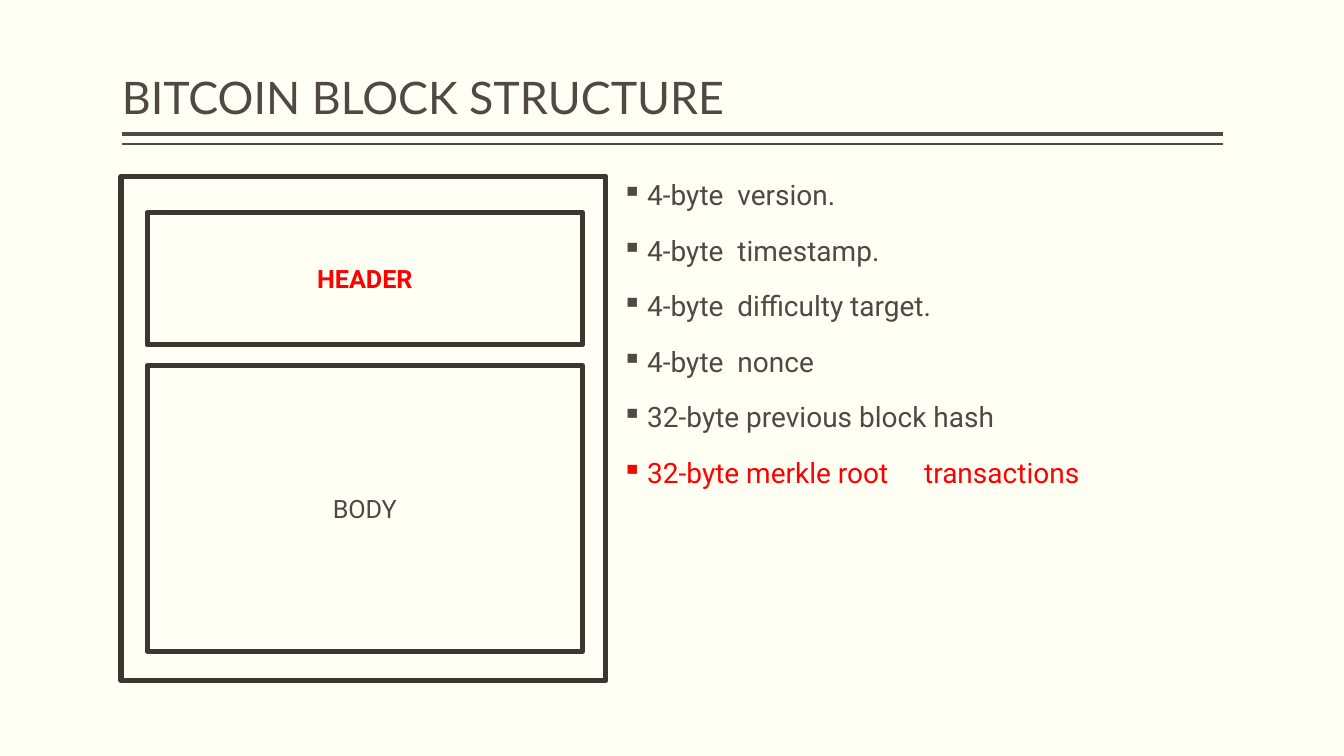
from lxml.etree import SubElement
from pptx import Presentation
from pptx.dml.color import RGBColor
from pptx.enum.shapes import MSO_CONNECTOR, MSO_SHAPE
from pptx.enum.text import MSO_ANCHOR as Anchor, PP_ALIGN as Align
from pptx.oxml.ns import qn
from pptx.util import Cm, Pt

CREAM = RGBColor(0xFF, 0xFF, 0xF3)
BROWN = RGBColor(0x51, 0x48, 0x43)
DARK_BROWN = RGBColor(0x3C, 0x35, 0x32)
RED = RGBColor(0xFF, 0x00, 0x00)

LEFT, WIDTH = 3.07, 27.74
HEADER_FIELDS = [
    ("4-byte  version.", BROWN),
    ("4-byte  timestamp.", BROWN),
    ("4-byte  difficulty target.", BROWN),
    ("4-byte  nonce", BROWN),
    ("32-byte previous block hash", BROWN),
    ("32-byte merkle root\ttransactions", RED),
]


def style_font(para, name, size, color, bold=False):
    """Set the font of a whole paragraph."""
    font = para.font
    font.name, font.size, font.bold = name, Pt(size), bold
    font.color.rgb = color


def set_frame(frame, anchor):
    """Wrap the text and remove the side margins."""
    frame.word_wrap = True
    frame.vertical_anchor = anchor
    frame.margin_left = frame.margin_right = 0
    frame.margin_top = frame.margin_bottom = Cm(0.13)


def set_title(page, text):
    """Place and format the title placeholder."""
    title = page.shapes.title
    title.left, title.top = Cm(LEFT), Cm(0.2)
    title.width, title.height = Cm(WIDTH), Cm(3.05)
    set_frame(title.text_frame, Anchor.BOTTOM)
    para = title.text_frame.paragraphs[0]
    para.text = text
    para.alignment = Align.LEFT
    para.line_spacing = 0.9
    style_font(para, "Lato", 32, BROWN)


def add_rule(page, top, weight):
    """Draw a horizontal line under the title."""
    rule = page.shapes.add_connector(
        MSO_CONNECTOR.STRAIGHT, Cm(LEFT), Cm(top), Cm(LEFT + WIDTH), Cm(top))
    rule.line.color.rgb = BROWN
    rule.line.width = Pt(weight)
    SubElement(rule.element.spPr, qn("a:effectLst"))


def add_frame(page, left, top, width, height, label="", color=BROWN, bold=False):
    """Draw an outlined rectangle with an optional centred label."""
    box = page.shapes.add_shape(
        MSO_SHAPE.RECTANGLE, Cm(left), Cm(top), Cm(width), Cm(height))
    box.shadow.inherit = False
    box.fill.background()
    box.line.color.rgb = DARK_BROWN
    box.line.width = Pt(3.78)
    if label:
        box.text_frame.vertical_anchor = Anchor.MIDDLE
        para = box.text_frame.paragraphs[0]
        para.text = label
        para.alignment = Align.CENTER
        style_font(para, "Roboto", 18, color, bold)


def add_bullet(para):
    """Give a paragraph a square bullet with a hanging indent."""
    properties = para._p.get_or_add_pPr()
    properties.set("marL", str(Cm(0.64)))
    properties.set("indent", str(-Cm(0.64)))
    SubElement(properties, qn("a:buChar")).set("char", "▪")


def add_field_list(page, fields):
    """Write the bulleted list of header fields."""
    box = page.shapes.add_textbox(Cm(15.67), Cm(4.45), Cm(15.14), Cm(12.7))
    frame = box.text_frame
    set_frame(frame, Anchor.TOP)
    for index, (text, color) in enumerate(fields):
        para = frame.add_paragraph() if index else frame.paragraphs[0]
        para.text = text
        para.line_spacing = 0.9
        para.space_before = Pt(18)
        add_bullet(para)
        style_font(para, "Roboto", 20, color)


def main():
    """Build the slide and save the deck."""
    deck = Presentation()
    deck.slide_width, deck.slide_height = Cm(33.87), Cm(19.05)
    page = deck.slides.add_slide(deck.slide_layouts.get_by_name("Title Only"))
    page.background.fill.solid()
    page.background.fill.fore_color.rgb = CREAM
    set_title(page, "BITCOIN BLOCK STRUCTURE")
    add_rule(page, 3.38, 3)
    add_rule(page, 3.63, 1)
    add_field_list(page, HEADER_FIELDS)
    add_frame(page, 3.05, 4.45, 12.22, 12.7)
    add_frame(page, 3.71, 9.22, 10.97, 7.19, "BODY")
    add_frame(page, 3.71, 5.36, 10.97, 3.33, "HEADER", RED, True)
    deck.save("out.pptx")


if __name__ == "__main__":
    main()
